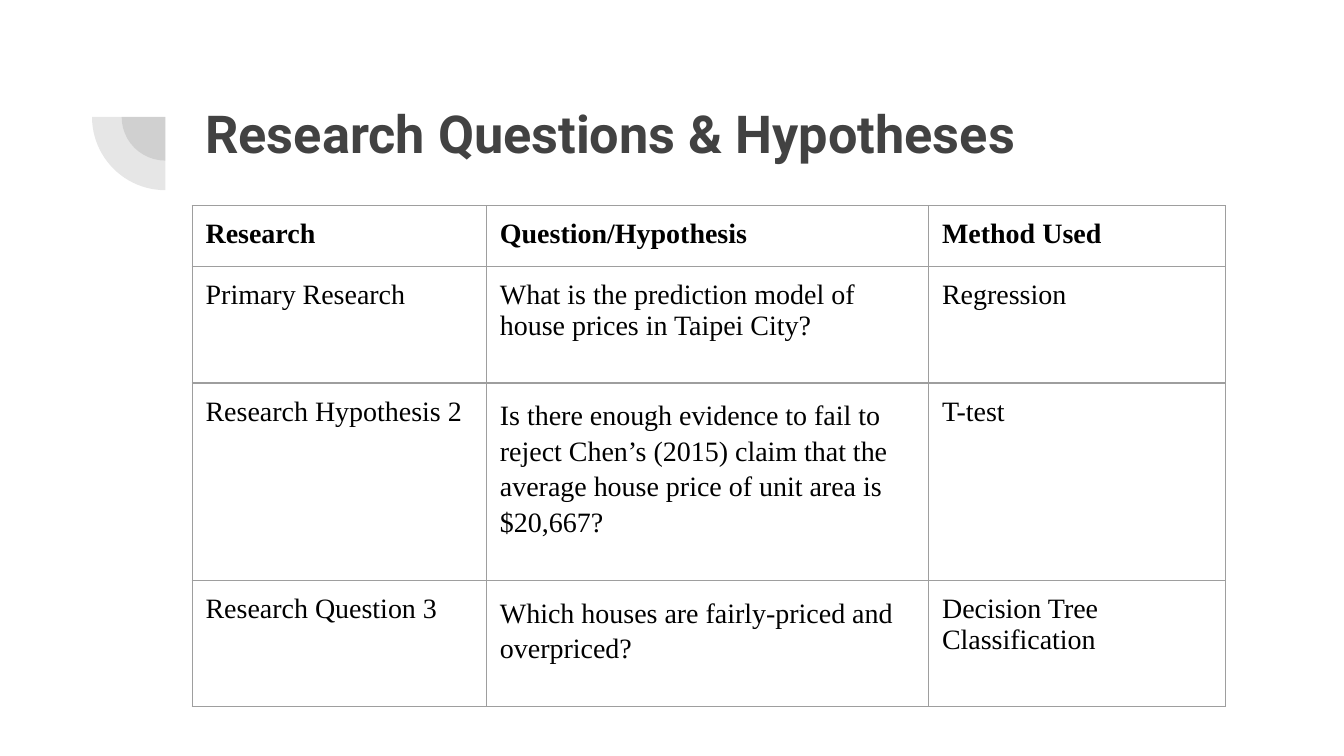
from dataclasses import dataclass

import pptx
import pptx.dml.color
import pptx.enum.shapes
import pptx.oxml
import pptx.oxml.ns
import pptx.util
from pptx.util import Inches

COLORS = {"title": "424242", "text": "000000", "border": "9E9E9E"}
COLUMN_WIDTHS = [2.19, 3.29, 2.21]
ROW_HEIGHTS = [0.45, 0.87, 1.47, 0.94]
ARC_CENTER = (1.23, 0.87)
ARC_SIZES = [0.65, 1.09]


@dataclass
class Cell:
    text: str
    bold: bool = False
    line_spacing: float | None = None
    before: float | None = None
    after: float | None = None


ROWS = [
    [Cell("Research", True), Cell("Question/Hypothesis", True), Cell("Method Used", True)],
    [
        Cell("Primary Research"),
        Cell("What is the prediction model of house prices in Taipei City?"),
        Cell("Regression"),
    ],
    [
        Cell("Research Hypothesis 2"),
        Cell(
            "Is there enough evidence to fail to reject Chen’s (2015) claim that "
            "the average house price of unit area is $20,667?",
            line_spacing=1.15, before=12, after=10,
        ),
        Cell("T-test"),
    ],
    [
        Cell("Research Question 3"),
        Cell("Which houses are fairly-priced and overpriced?", line_spacing=1.15, after=10),
        Cell("Decision Tree Classification"),
    ],
]


def rgb(name: str) -> pptx.dml.color.RGBColor:
    return pptx.dml.color.RGBColor.from_string(COLORS[name])


def format_run(r, font: str, size: float, color: str, bold: bool) -> None:
    r.font.name = font
    r.font.size = pptx.util.Pt(size)
    r.font.color.rgb = rgb(color)
    r.font.bold = bold


def add_arc(s, size: float) -> None:
    x, y = ARC_CENTER
    sp = s.shapes.add_shape(
        pptx.enum.shapes.MSO_SHAPE.PIE,
        Inches(x - size / 2), Inches(y - size / 2), Inches(size), Inches(size),
    )
    sp.adjustments[0] = 108
    sp.adjustments[1] = 162
    sp.rotation = 270
    sp.shadow.inherit = False
    sp.line.fill.background()
    sp.fill.solid()
    sp.fill.fore_color.rgb = rgb("title")
    color = sp._element.spPr.find(".//" + pptx.oxml.ns.qn("a:srgbClr"))
    color.append(pptx.oxml.parse_xml(f'<a:alpha {pptx.oxml.ns.nsdecls("a")} val="13000"/>'))


def add_title(s, text: str) -> None:
    sp = s.shapes.add_textbox(Inches(1.43), Inches(0.65), Inches(7.69), Inches(1.09))
    tf = sp.text_frame
    tf.word_wrap = True
    tf.margin_left = tf.margin_right = tf.margin_top = tf.margin_bottom = Inches(0.1)
    tf.text = text
    format_run(tf.paragraphs[0].runs[0], "Roboto", 28, "title", True)


def add_borders(cell) -> None:
    properties = cell._tc.get_or_add_tcPr()
    for i, side in enumerate(["lnL", "lnR", "lnT", "lnB"]):
        properties.insert(i, pptx.oxml.parse_xml(
            f'<a:{side} {pptx.oxml.ns.nsdecls("a")} w="{pptx.util.Pt(0.75)}">'
            f'<a:solidFill><a:srgbClr val="{COLORS["border"]}"/></a:solidFill></a:{side}>'
        ))


def fill_cell(cell, content: Cell) -> None:
    cell.margin_left = cell.margin_right = cell.margin_top = cell.margin_bottom = Inches(0.1)
    cell.fill.background()
    add_borders(cell)
    p = cell.text_frame.paragraphs[0]
    p.text = content.text
    if content.line_spacing is not None:
        p.line_spacing = content.line_spacing
    if content.before is not None:
        p.space_before = pptx.util.Pt(content.before)
    if content.after is not None:
        p.space_after = pptx.util.Pt(content.after)
    format_run(p.runs[0], "Times New Roman", 15, "text", content.bold)


def add_research_table(s) -> None:
    table = s.shapes.add_table(
        len(ROWS), len(COLUMN_WIDTHS), Inches(1.43), Inches(1.53),
        Inches(sum(COLUMN_WIDTHS)), Inches(sum(ROW_HEIGHTS)),
    ).table
    table.first_row = False
    table.horz_banding = False
    for column, width in zip(table.columns, COLUMN_WIDTHS):
        column.width = Inches(width)
    for row, height, contents in zip(table.rows, ROW_HEIGHTS, ROWS):
        row.height = Inches(height)
        for cell, content in zip(row.cells, contents):
            fill_cell(cell, content)


def main() -> None:
    prs = pptx.Presentation()
    prs.slide_width = Inches(10)
    prs.slide_height = prs.slide_width * 9 // 16
    s = prs.slides.add_slide(prs.slide_layouts[6])
    for size in ARC_SIZES:
        add_arc(s, size)
    add_title(s, "Research Questions & Hypotheses")
    add_research_table(s)
    prs.save("out.pptx")


if __name__ == "__main__":
    main()
